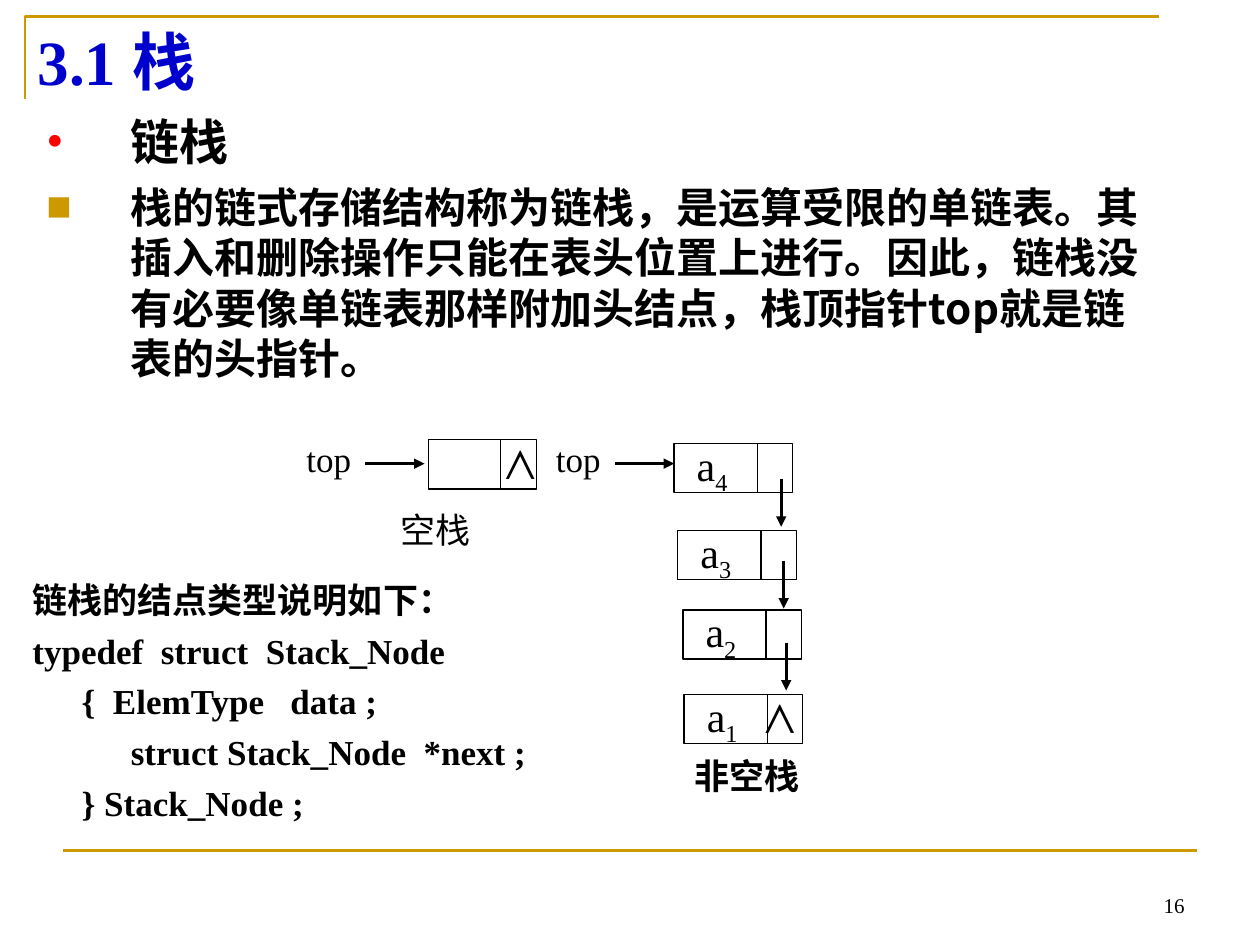
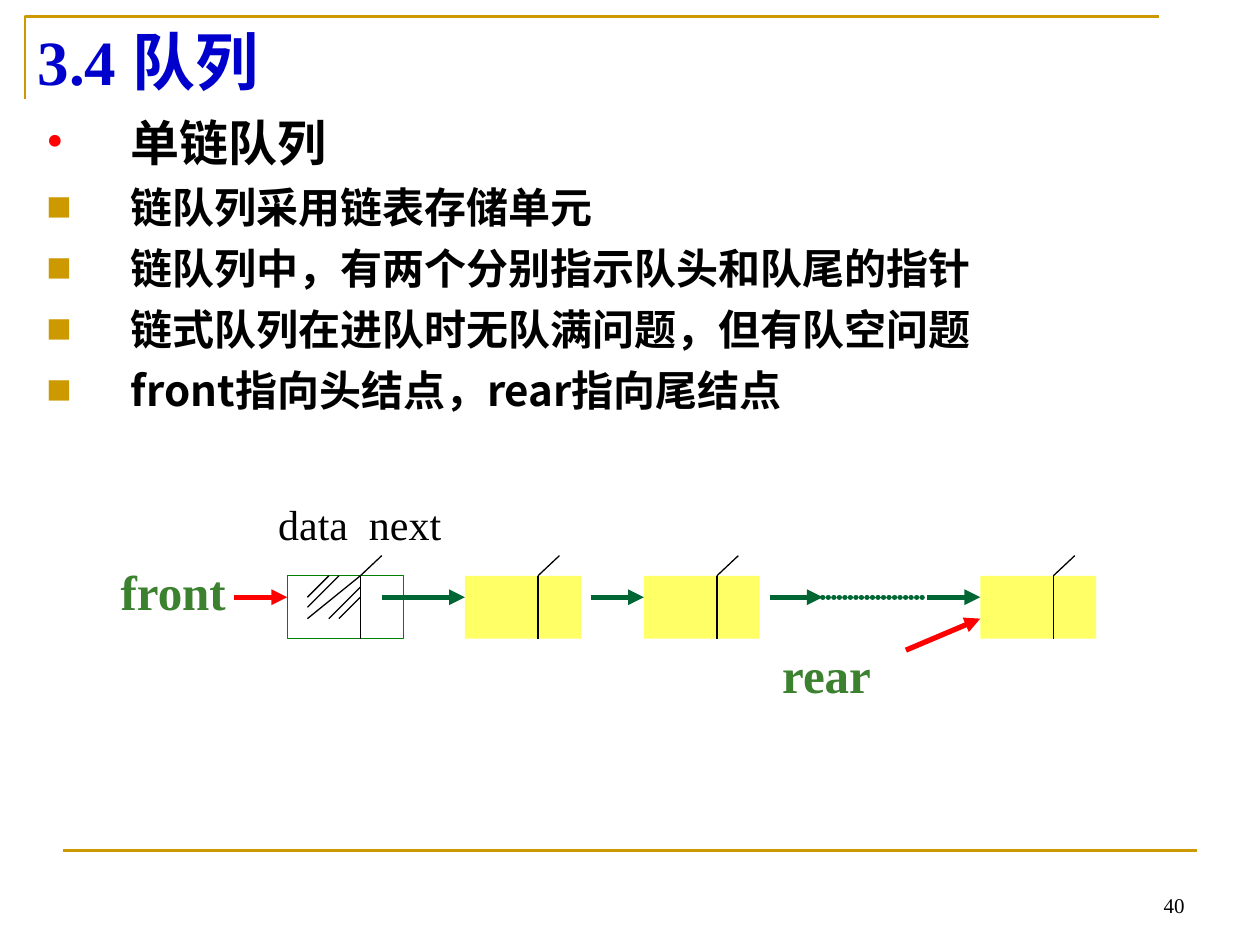
from lxml import etree
from pptx import Presentation
from pptx.dml.color import RGBColor
from pptx.enum import shapes, text
from pptx.oxml.ns import qn
from pptx.util import Inches, Pt

SERIF = "Times New Roman"
SANS = "Noto Sans CJK SC"
BLACK, GOLD, BLUE, RED = "000000", "CC9900", "0000CC", "FF0000"
YELLOW, GREEN, LINK_GREEN, NAME_GREEN = "FFFF66", "008000", "006633", "3B812F"


def color(value):
    return RGBColor.from_string(value)


def add(parent, tag, **attributes):
    return etree.SubElement(parent, qn(tag), attributes)


class Deck:
    def __init__(self):
        self.prs = Presentation()
        self.prs.slide_width, self.prs.slide_height = Inches(10), Inches(7.5)
        self.slide = None

    def start(self, title, number):
        self.slide = self.prs.slides.add_slide(self.prs.slide_layouts[6])
        corner = self.slide.shapes.build_freeform(Inches(0.2), Inches(0.79))
        corner.add_line_segments(
            [(Inches(0.2), Inches(0.13)), (Inches(9.2), Inches(0.13))], close=False)
        self.paint(corner.convert_to_shape(), None, GOLD, 1.5)
        self.line(0.5, 6.75, 9.5, 6.75, GOLD, 1.5)
        self.label(number, 7.17, 6.83, 2.33, 0.5, 12, align="RIGHT", anchor="BOTTOM")
        heading = self.label(title, 0.2, 0.13, 9, 0.71, 36, BLUE, True)
        heading.paragraphs[0].line_spacing = Pt(43)

    def paint(self, shape, fill, outline, width=0.75):
        shape.shadow.inherit = False
        if fill:
            shape.fill.solid()
            shape.fill.fore_color.rgb = color(fill)
        else:
            shape.fill.background()
        if outline:
            shape.line.color.rgb = color(outline)
            shape.line.width = Pt(width)
        else:
            shape.line.fill.background()

    def style(self, run, size, tint=BLACK, bold=False, face=SERIF):
        run.font.size, run.font.bold, run.font.name = Pt(size), bold, face
        run.font.color.rgb = color(tint)
        add(run.font._element, "a:ea", typeface=SANS)

    def label(self, content, x, y, w, h, size, tint=BLACK, bold=False,
              align="LEFT", anchor="TOP", wrap=True):
        box = self.slide.shapes.add_textbox(Inches(x), Inches(y), Inches(w), Inches(h))
        frame = box.text_frame
        frame.word_wrap = wrap
        frame.vertical_anchor = getattr(text.MSO_ANCHOR, anchor)
        frame.text = content
        for paragraph in frame.paragraphs:
            paragraph.alignment = getattr(text.PP_ALIGN, align)
            for run in paragraph.runs:
                self.style(run, size, tint, bold)
        return frame

    def centered(self, content, x, y, w, size=20, bold=False):
        frame = self.label(content, x, y, w, 0.39, size, BLACK, bold,
                           "CENTER", "MIDDLE", False)
        frame.margin_left = frame.margin_right = 0

    def bullets(self, topic, points, w, h):
        box = self.slide.shapes.add_textbox(Inches(0.27), Inches(0.84), Inches(w), Inches(h))
        frame = box.text_frame
        frame.word_wrap = True
        frame.text = "\n".join([topic] + points)
        for i, paragraph in enumerate(frame.paragraphs):
            size, mark, tint = (24, "■", GOLD) if i else (28, "•", RED)
            props = paragraph._p.get_or_add_pPr()
            props.set("marL", str(Inches(0.67)))
            props.set("indent", str(-Inches(0.67)))
            add(add(props, "a:buClr"), "a:srgbClr", val=tint)
            add(props, "a:buFont", typeface=SERIF)
            add(props, "a:buChar", char=mark)
            paragraph.line_spacing = Pt(size * 1.2)
            paragraph.space_before = Pt(6 if i else 0)
            self.style(paragraph.runs[0], size, BLACK, True, SANS)

    def code(self, lines, x, y, w, h):
        frame = self.label("\n".join(line for _, line in lines), x, y, w, h, 20, bold=True)
        for i, (paragraph, (level, _)) in enumerate(zip(frame.paragraphs, lines)):
            paragraph._p.get_or_add_pPr().set("marL", str(Inches(0.39 * level)))
            paragraph.line_spacing = Pt(24)
            paragraph.space_before = Pt(5 if i else 0)

    def line(self, x1, y1, x2, y2, tint=BLACK, width=0.75, arrow=False, dotted=False):
        link = self.slide.shapes.add_connector(
            shapes.MSO_CONNECTOR.STRAIGHT, Inches(x1), Inches(y1), Inches(x2), Inches(y2))
        link.line.color.rgb = color(tint)
        link.line.width = Pt(width)
        outline = link.line._get_or_add_ln()
        if dotted:
            outline.set("cap", "rnd")
            add(add(outline, "a:custDash"), "a:ds", d="100000", sp="5000")
        if arrow:
            add(outline, "a:tailEnd", type="triangle")
        add(link._element.spPr, "a:effectLst")

    def cell(self, x, y, w, h, split, fill=None, outline=BLACK):
        node = self.slide.shapes.add_shape(
            shapes.MSO_SHAPE.RECTANGLE, Inches(x), Inches(y), Inches(w), Inches(h))
        self.paint(node, fill, outline)
        self.line(x + split, y, x + split, y + h)
        return node

    def stack_node(self, index, x, y):
        frame = self.cell(x, y, 0.94, 0.39, 0.66).text_frame
        frame.word_wrap = False
        frame.vertical_anchor = text.MSO_ANCHOR.MIDDLE
        frame.margin_left = Inches(0.18)
        paragraph = frame.paragraphs[0]
        paragraph.alignment = text.PP_ALIGN.LEFT
        for content in ("a", index):
            run = paragraph.add_run()
            run.text = content
            self.style(run, 24)
        run.font._element.set("baseline", "-25000")


def linked_stack(deck):
    deck.start("3.1 栈", "16")
    deck.bullets("链栈", [
        "栈的链式存储结构称为链栈，是运算受限的单链表。其插入和删除操作只能在表头位置上进行。"
        "因此，链栈没有必要像单链表那样附加头结点，栈顶指针top就是链表的头指针。"], 8.98, 4.33)

    for top_x, arrow_end in ((2.32, 3.37), (4.3, 5.35)):
        deck.centered("top", top_x, 3.44, 0.58)
        deck.line(top_x + 0.58, 3.68, arrow_end, 3.68, width=1.5, arrow=True)
    deck.cell(3.4, 3.49, 0.86, 0.39, 0.57)
    deck.centered("⋀", 3.94, 3.48, 0.38, 24)
    deck.centered("空栈", 2.96, 4.01, 1)

    for index, x, y in (("4", 5.35, 3.52), ("3", 5.38, 4.21),
                        ("2", 5.42, 4.84), ("1", 5.43, 5.51)):
        deck.stack_node(index, x, y)
    for i in range(3):
        x, y = 6.2 + 0.02 * i, 3.8 + 0.65 * i
        deck.line(x, y, x, y + 0.38, width=1.5, arrow=True)
    deck.centered("⋀", 6, 5.49, 0.38, 24)
    deck.centered("非空栈", 5.23, 5.96, 1.4, bold=True)

    deck.code([(0, "链栈的结点类型说明如下："),
               (0, "typedef  struct  Stack_Node"),
               (1, "{  ElemType   data ;"),
               (2, "struct Stack_Node  *next ;"),
               (1, "} Stack_Node ;")], 0.16, 4.54, 4.53, 2.28)


def linked_queue(deck):
    deck.start("3.4 队列", "40")
    deck.bullets("单链队列", [
        "链队列采用链表存储单元",
        "链队列中，有两个分别指示队头和队尾的指针",
        "链式队列在进队时无队满问题，但有队空问题",
        "front指向头结点，rear指向尾结点"], 9.29, 2.52)

    deck.label("data", 2.11, 3.91, 0.8, 0.5, 24)
    deck.label("next", 2.83, 3.91, 0.9, 0.5, 24)
    deck.label("front", 0.86, 4.41, 1.04, 0.57, 28, NAME_GREEN, True, wrap=False)
    deck.label("rear", 6.11, 5.07, 0.91, 0.57, 28, NAME_GREEN, True, wrap=False)

    head_x = 2.28
    for x in (head_x, 3.69, 5.11, 7.78):
        fill, outline = (None, GREEN) if x == head_x else (YELLOW, None)
        deck.cell(x, 4.57, 0.92, 0.5, 0.58, fill, outline)
        deck.line(x + 0.58, 4.57, x + 0.75, 4.41)

    for start, end in ((3.03, 3.69), (4.69, 5.11), (6.11, 6.53), (7.36, 7.78)):
        deck.line(start, 4.74, end, 4.74, LINK_GREEN, 3, arrow=True)
    deck.line(6.53, 4.74, 7.36, 4.74, LINK_GREEN, 3, dotted=True)
    deck.line(1.86, 4.74, head_x, 4.74, RED, 3, arrow=True)
    deck.line(7.19, 5.16, 7.78, 4.91, RED, 3, arrow=True)

    for hatch in ((2.69, 4.57, 2.44, 4.82), (2.86, 4.66, 2.61, 4.91),
                  (2.86, 4.57, 2.44, 4.91), (2.86, 4.74, 2.69, 4.91),
                  (2.61, 4.57, 2.44, 4.74)):
        deck.line(*hatch)


def main():
    deck = Deck()
    linked_stack(deck)
    linked_queue(deck)
    deck.prs.save("out.pptx")


if __name__ == "__main__":
    main()
